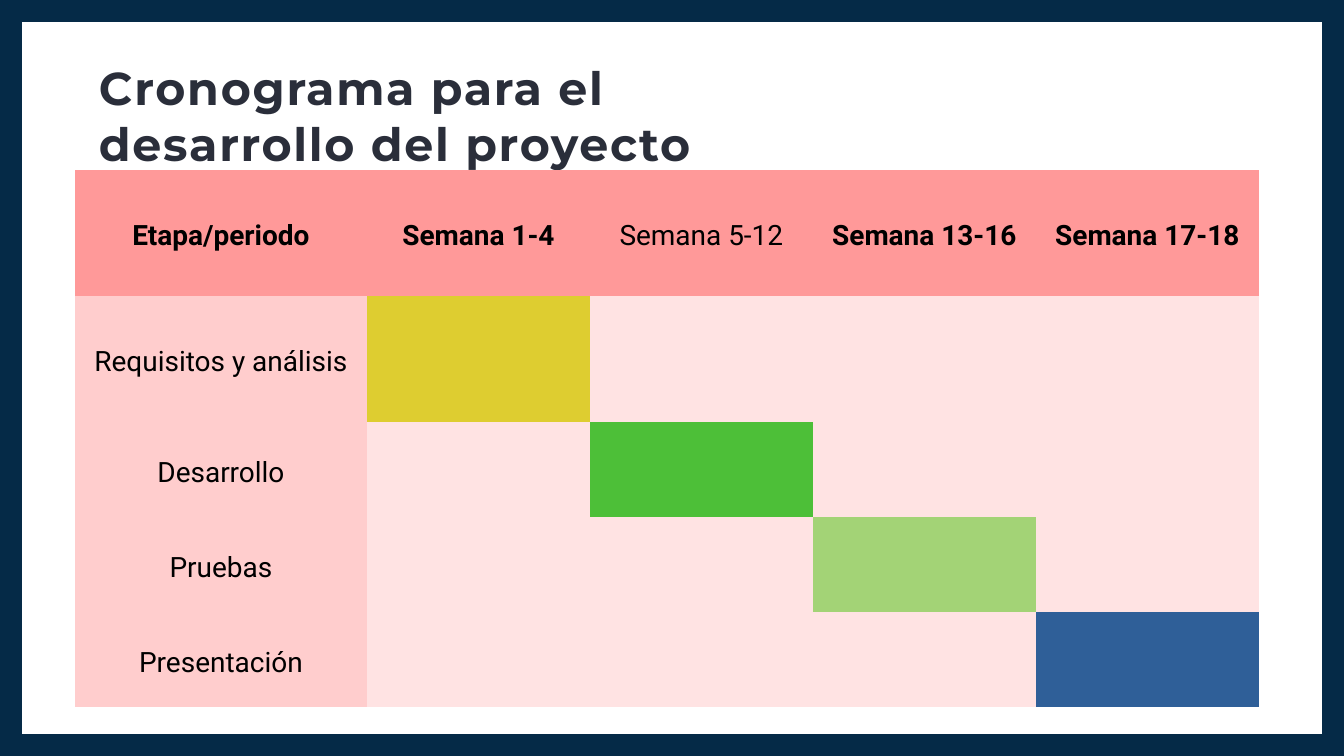
from lxml.etree import SubElement
from pptx import Presentation
from pptx.dml.color import RGBColor
from pptx.enum.shapes import MSO_SHAPE as Shape
from pptx.enum.text import MSO_ANCHOR as Anchor, PP_ALIGN as Align
from pptx.oxml.ns import qn
from pptx.util import Emu, Pt

PAGE_WIDTH, PAGE_HEIGHT = 1344, 756
EMU_PER_PX = 914400 * 20 / PAGE_WIDTH
COLORS = {
    "title": "2A2E3A", "frame": "052A47", "text": "000000",
    "header": "FF9999", "stage": "FFCDCD", "empty": "FFE3E3",
}
PERIODS = ["Etapa/periodo", "Semana 1-4", "Semana 5-12", "Semana 13-16", "Semana 17-18"]
REGULAR_PERIOD = "Semana 5-12"
STAGES = [
    ("Requisitos y análisis", "DECD30"),
    ("Desarrollo", "4DBF38"),
    ("Pruebas", "A3D376"),
    ("Presentación", "2F5F98"),
]
COLUMN_WIDTHS = [292] + [223] * 4
ROW_HEIGHTS = [126] * 2 + [95] * 3
CELL_MARGIN = 14


def px(length):
    """Turn pixels into EMU."""
    return Emu(round(length * EMU_PER_PX))


def rgb(value):
    """Turn a hex string into a colour."""
    return RGBColor.from_string(value)


def style_paragraph(para, name, size, color, bold, leading):
    """Set the font and line spacing of a paragraph."""
    para.line_spacing = Pt(leading)
    para.font.name = name
    para.font.size = Pt(size)
    para.font.bold = bold
    para.font.color.rgb = rgb(color)


def add_title(page, text):
    """Add the letter-spaced heading."""
    box = page.shapes.add_textbox(px(99), px(60), px(640), px(165))
    frame = box.text_frame
    frame.word_wrap = True
    frame.margin_left = frame.margin_top = frame.margin_right = frame.margin_bottom = 0
    para = frame.paragraphs[0]
    para.text = text
    style_paragraph(para, "Montserrat", 49.3, COLORS["title"], True, 59.1)
    para._p.get_or_add_pPr().get_or_add_defRPr().set("spc", "180")


def add_frame(page):
    """Outline the page with a thick border."""
    border = page.shapes.add_shape(Shape.RECTANGLE, 0, 0, px(PAGE_WIDTH), px(PAGE_HEIGHT))
    border.shadow.inherit = False
    border.fill.background()
    border.line.color.rgb = rgb(COLORS["frame"])
    border.line.width = Pt(48)


def paint_cell(cell, color):
    """Fill a cell and hide its borders."""
    properties = cell._tc.get_or_add_tcPr()
    for side in ("lnL", "lnR", "lnT", "lnB"):
        SubElement(SubElement(properties, qn(f"a:{side}"), w="0"), qn("a:noFill"))
    cell.fill.solid()
    cell.fill.fore_color.rgb = rgb(color)


def write_cell(cell, text, bold):
    """Write a centred label in a cell."""
    cell.vertical_anchor = Anchor.MIDDLE
    cell.margin_left = cell.margin_right = px(CELL_MARGIN)
    cell.margin_top = cell.margin_bottom = px(CELL_MARGIN)
    para = cell.text_frame.paragraphs[0]
    para.text = text
    para.alignment = Align.CENTER
    style_paragraph(para, "Roboto", 30, COLORS["text"], bold, 42)


def add_schedule(page):
    """Add the table whose diagonal marks the period of each stage."""
    table = page.shapes.add_table(
        len(ROW_HEIGHTS), len(COLUMN_WIDTHS), px(75), px(170),
        px(sum(COLUMN_WIDTHS)), px(sum(ROW_HEIGHTS)),
    ).table
    table.first_row = table.horz_banding = False
    for column, width in zip(table.columns, COLUMN_WIDTHS):
        column.width = px(width)
    for row, height in zip(table.rows, ROW_HEIGHTS):
        row.height = px(height)
    for index, period in enumerate(PERIODS):
        cell = table.cell(0, index)
        paint_cell(cell, COLORS["header"])
        write_cell(cell, period, period != REGULAR_PERIOD)
    for row, (stage, color) in enumerate(STAGES, start=1):
        paint_cell(table.cell(row, 0), COLORS["stage"])
        write_cell(table.cell(row, 0), stage, False)
        for column in range(1, len(PERIODS)):
            paint_cell(table.cell(row, column), color if column == row else COLORS["empty"])


def main():
    """Build and save the project schedule."""
    deck = Presentation()
    deck.slide_width, deck.slide_height = px(PAGE_WIDTH), px(PAGE_HEIGHT)
    page = deck.slides.add_slide(deck.slide_layouts[6])
    add_title(page, "Cronograma para el desarrollo del proyecto")
    add_frame(page)
    add_schedule(page)
    deck.save("out.pptx")


if __name__ == "__main__":
    main()
